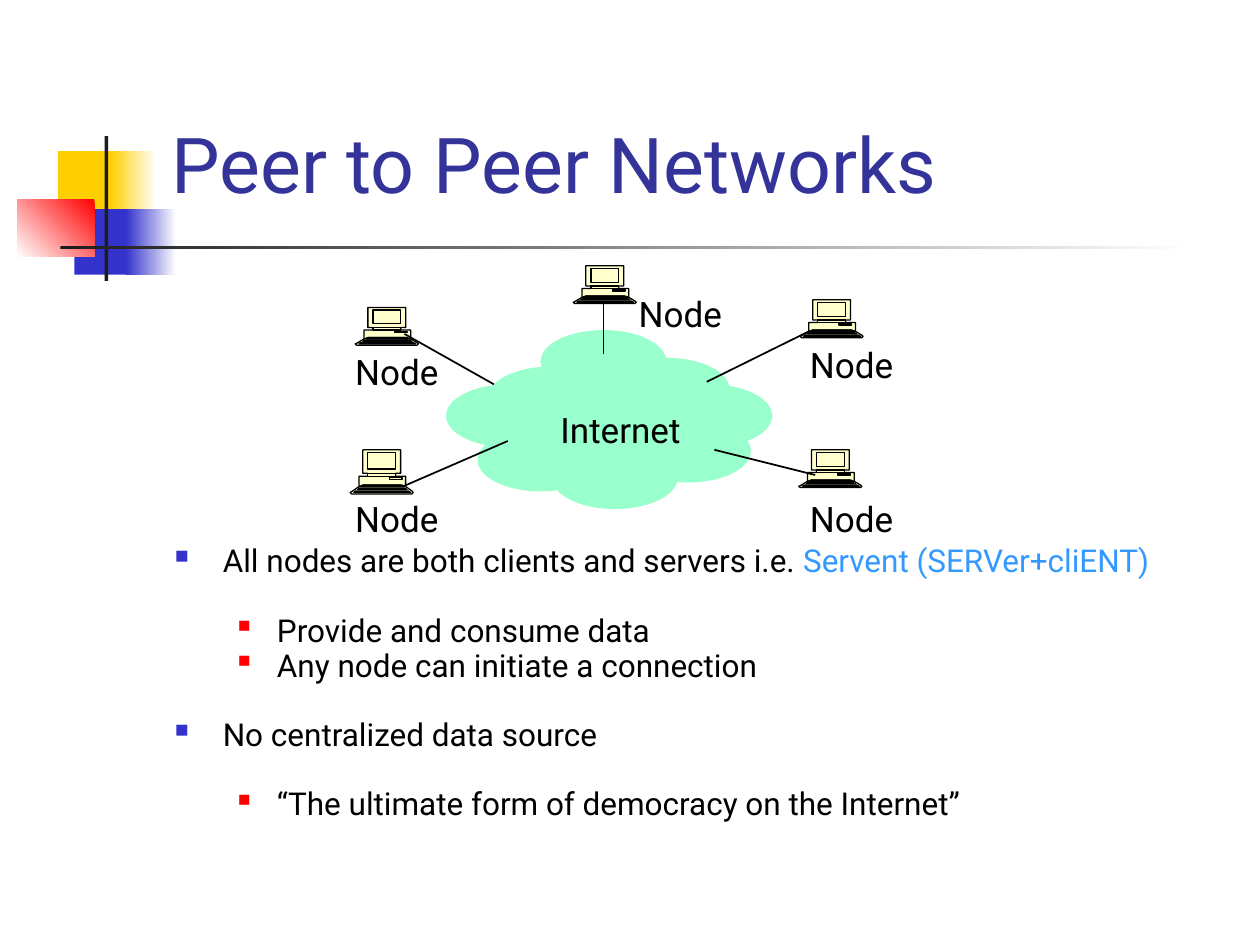
"""Build a slide on peer to peer networks: five nodes around a cloud, with notes in bullets."""
import copy

import pptx
import pptx.chart.data
import pptx.dml.color
import pptx.enum.shapes
import pptx.enum.text
import pptx.oxml
import pptx.oxml.ns
import pptx.util
from lxml import etree

Inches, Pt = pptx.util.Inches, pptx.util.Pt
SHAPE = pptx.enum.shapes.MSO_SHAPE
ANCHOR = pptx.enum.text.MSO_ANCHOR
FONT = "Roboto"
BLACK, WHITE, CREAM, MINT = "000000", "FFFFFF", "FFFFCC", "99FFCC"

# left, top, width, height, colour, fade angle
DECOR = [
    (0.46, 1.2, 0.48, 0.52, "FFCF01", None),
    (0.88, 1.2, 0.36, 0.52, "FFCF01", 0),
    (0.59, 1.66, 0.46, 0.52, "3333CC", None),
    (1, 1.66, 0.4, 0.52, "3333CC", 0),
    (0.14, 1.58, 0.61, 0.46, "FF0000", 225),
    (0.83, 1.08, 0.03, 1.15, "1C1C1C", None),
    (0.48, 1.95, 9, 0.03, "1C1C1C", 0),
]
PUFFS = [(3.87, 2.91), (4.29, 2.62), (4.79, 2.84), (4.96, 3.05), (5.13, 3.05),
         (4.96, 3.33), (4.38, 3.54), (3.54, 3.05), (4.29, 3.12), (3.79, 3.4)]
NODES = [
    {"at": (6.34, 3.57), "tall": 0.3, "link": (6.47, 3.77, 5.67, 3.57), "label": (6.33, 3.9)},
    {"at": (2.82, 2.44), "tall": 0.3, "link": (3.92, 3.05, 3.21, 2.65), "label": (2.72, 2.73)},
    {"at": (2.78, 3.57), "tall": 0.35, "link": (3.2, 3.86, 4.03, 3.5), "label": (2.72, 3.9)},
    {"at": (4.55, 2.11), "tall": 0.3, "link": (4.79, 2.81, 4.79, 2.39), "label": (4.97, 2.27)},
    {"at": (6.35, 2.38), "tall": 0.3, "link": (5.61, 3.03, 6.42, 2.63), "label": (6.33, 2.68)},
]


def box(x1, y1, x2, y2):
    return [(x1, y1), (x1, y2), (x2, y2), (x2, y1)]


# outlines on a grid of 50 by 30
DESKTOP = [
    [(49, 28), (44, 25), (44, 18), (36, 18), (36, 16), (40, 16), (40, 0), (10, 0), (10, 16),
     (14, 16), (14, 18), (7, 18), (7, 25), (2, 28), (0, 29), (1, 30), (49, 30), (50, 29)],
    [(42, 25), (40, 24.5), (10, 24.5), (9, 25)],
    [(45, 27), (43, 26), (7, 26), (6, 27)],
    [(48, 29), (46, 28), (4, 28), (3, 29)],
    [(44, 25), (41, 24), (10, 24), (7, 25)],
    box(31, 19, 41, 20),
    box(14, 2, 36, 13),
    box(14, 16, 36, 18),
]
LEVELS = [
    {"left": 0.38, "hang": 0.38, "color": "3333CC", "size": 60},
    {"left": 0.81, "hang": 0.31, "color": "FF0000", "size": 55},
]
# level, space before, runs of text and colour
NOTES = [
    (0, 0, [("All nodes are both clients and servers i.e. ", BLACK),
            ("Servent (SERVer+cliENT)", "3399FF")]),
    (1, 24.5, [("Provide and consume data", BLACK)]),
    (1, 4.75, [("Any node can initiate a connection", BLACK)]),
    (0, 24.5, [("No centralized data source", BLACK)]),
    (1, 24.5, [("“The ultimate form of democracy on the Internet”", BLACK)]),
]


def rgb(code):
    return pptx.dml.color.RGBColor.from_string(code)


def place(shape, *at):
    shape.left, shape.top, shape.width, shape.height = map(Inches, at)


def style(para, size, code=None):
    para.font.name, para.font.size = FONT, Pt(size)
    if code:
        para.font.color.rgb = rgb(code)


def block(slide, kind, at, code, fade=None):
    shape = slide.shapes.add_shape(kind, *map(Inches, at))
    shape.shadow.inherit = False
    shape.line.fill.background()
    if fade is None:
        shape.fill.solid()
        shape.fill.fore_color.rgb = rgb(code)
    else:
        shape.fill.gradient()
        shape.fill.gradient_angle = fade
        for stop, tone in zip(shape.fill.gradient_stops, (code, WHITE)):
            stop.color.rgb = rgb(tone)


def desktop(slide, at, tall):
    scale = (Inches(0.01), Inches(tall / 30))
    form = slide.shapes.build_freeform(*DESKTOP[0][0], scale=scale)
    form.add_line_segments(DESKTOP[0][1:])
    for part in DESKTOP[1:]:
        form.move_to(*part[0]).add_line_segments(part[1:])
    shape = form.convert_to_shape(*map(Inches, at))
    shape.shadow.inherit = False
    shape.fill.solid()
    shape.fill.fore_color.rgb = rgb(CREAM)
    shape.line.color.rgb = rgb(BLACK)
    shape.line.width = Pt(0.75)
    whole = shape.element.xpath(".//a:path")[0]
    blank = copy.deepcopy(whole)
    for step in list(blank):
        blank.remove(step)
    for step in list(whole):
        if step.tag == pptx.oxml.ns.qn("a:moveTo"):
            layer = copy.deepcopy(blank)
            whole.getparent().append(layer)
        layer.append(step)
    whole.getparent().remove(whole)


def link(slide, ends):
    line = slide.shapes.add_connector(pptx.enum.shapes.MSO_CONNECTOR.STRAIGHT, *map(Inches, ends))
    line.line.color.rgb = rgb(BLACK)
    line.line.width = Pt(1)
    etree.SubElement(line.element.spPr, pptx.oxml.ns.qn("a:effectLst"))


def label(slide, text, at, width):
    frame = slide.shapes.add_textbox(*map(Inches, (*at, width, 0.44))).text_frame
    frame.word_wrap = False
    frame.text = text
    style(frame.paragraphs[0], 20, BLACK)


def bullet(para, look):
    props = para._p.get_or_add_pPr()
    props.set("marL", str(Inches(look["left"])))
    props.set("indent", str(-Inches(look["hang"])))
    tone = etree.SubElement(props, pptx.oxml.ns.qn("a:buClr"))
    etree.SubElement(tone, pptx.oxml.ns.qn("a:srgbClr"), val=look["color"])
    etree.SubElement(props, pptx.oxml.ns.qn("a:buSzPct"), val=str(look["size"] * 1000))
    etree.SubElement(props, pptx.oxml.ns.qn("a:buChar"), char="■")


def notes(slide):
    frame = slide.shapes.add_textbox(*map(Inches, (1.29, 4.33, 8.5, 2.35))).text_frame
    frame.word_wrap = True
    for i, (level, gap, runs) in enumerate(NOTES):
        para = frame.add_paragraph() if i else frame.paragraphs[0]
        bullet(para, LEVELS[level])
        para.level = level
        para.line_spacing = 0.7
        para.space_before = Pt(gap)
        style(para, 18)
        for text, code in runs:
            run = para.add_run()
            run.text = text
            run.font.color.rgb = rgb(code)


def main():
    deck = pptx.Presentation()
    deck.slide_width, deck.slide_height = Inches(10), Inches(7.5)
    slide = deck.slides.add_slide(deck.slide_layouts[5])
    for *at, code, fade in DECOR:
        block(slide, SHAPE.RECTANGLE, at, code, fade)
    title = slide.shapes.title
    place(title, 1.26, 0.68, 8.52, 1.03)
    title.text_frame.text = "Peer to Peer Networks"
    title.text_frame.vertical_anchor = ANCHOR.BOTTOM
    title.text_frame.paragraphs[0].alignment = pptx.enum.text.PP_ALIGN.LEFT
    style(title.text_frame.paragraphs[0], 44, "333399")
    notes(slide)
    for at in PUFFS:
        block(slide, SHAPE.OVAL, (*at, 1, 0.5), MINT)
    for node in NODES:
        desktop(slide, node["at"], node["tall"])
        link(slide, node["link"])
        label(slide, "Node", node["label"], 0.91)
    label(slide, "Internet", (4.35, 3.19), 1.27)
    deck.save("out.pptx")


if __name__ == "__main__":
    main()
